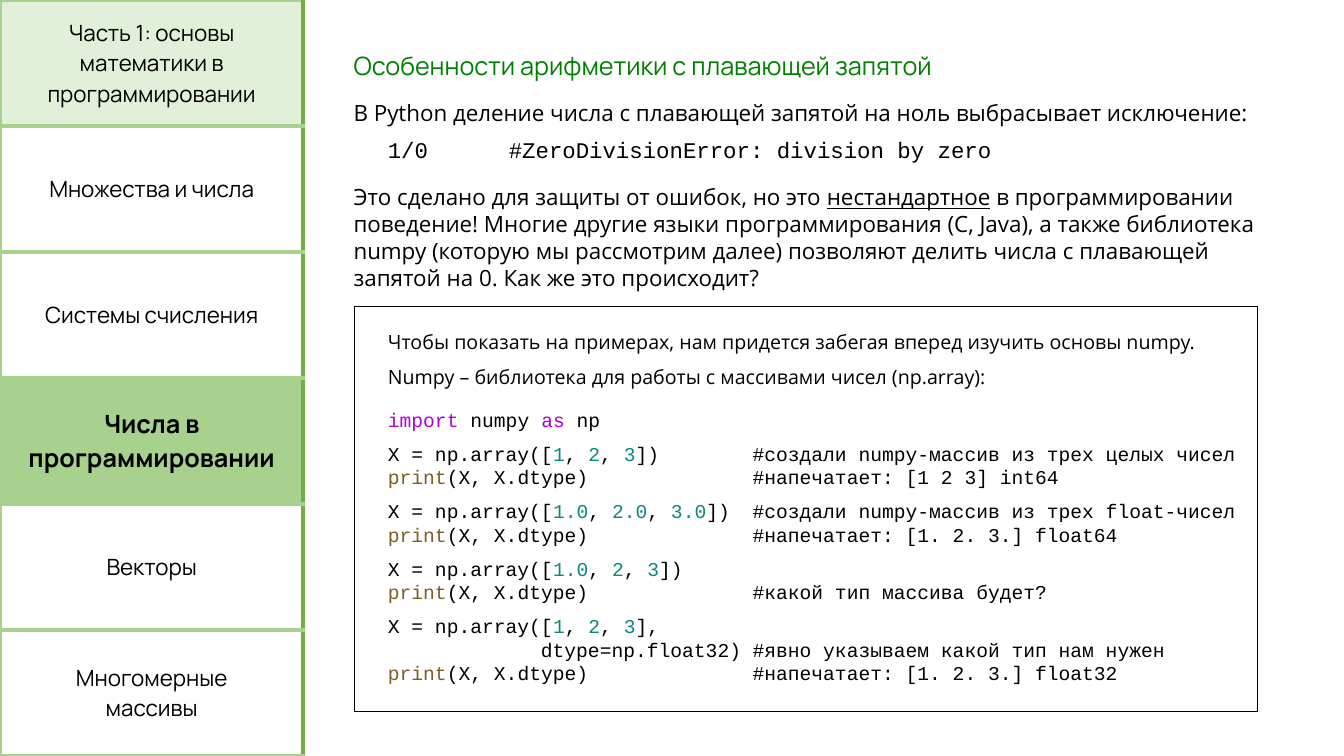
"""Build the slide on floating-point arithmetic, with a chapter list on the left."""
from dataclasses import dataclass
from typing import Any, NamedTuple

from lxml.etree import SubElement
from pptx import Presentation
from pptx.dml.color import RGBColor as Rgb
from pptx.enum.shapes import MSO_SHAPE as Shape
from pptx.enum.text import MSO_ANCHOR as Anchor, MSO_AUTO_SIZE as AutoSize, PP_ALIGN as Align
from pptx.oxml import parse_xml
from pptx.oxml.ns import nsdecls, qn
from pptx.util import Pt


@dataclass(frozen=True)
class Theme:
    black: str = "000000"
    heading: str = "008000"
    keyword: str = "AF00DB"
    number: str = "09887D"
    builtin: str = "795E26"
    opening: str = "E2F0D9"
    current: str = "A9D18E"
    edge: str = "70AD47"
    display: str = "Manrope"
    prose: str = "Open Sans"
    code: str = "Courier New"
    large: int = 18
    medium: int = 16
    small: int = 14


THEME = Theme()


class Span(NamedTuple):
    text: str
    color: str = THEME.black
    underline: bool = False


Line = list[Span]


class Chapter(NamedTuple):
    lines: list[str]
    fill: str | None = None
    size: int = THEME.medium
    bold: bool = False


class Block(NamedTuple):
    left: float
    top: float
    width: float
    height: float
    lines: list[Line]
    font: str
    size: int
    tab: float | None = None


def array_line(numbers: list[str], ending: str) -> Line:
    """Return a line that creates an array, with its numbers coloured."""
    spans = [Span("X = np.array([")]
    for index, number in enumerate(numbers):
        if index:
            spans.append(Span(", "))
        spans.append(Span(number, THEME.number))
    return spans + [Span(ending)]


def print_line(comment: str) -> Line:
    """Return a line that prints the array, with a comment."""
    return [Span("print", THEME.builtin), Span(f"(X, X.dtype)\t{comment}")]


CHAPTERS = [
    Chapter(["Часть 1: основы математики в программировании"], THEME.opening),
    Chapter(["Множества и числа"]),
    Chapter(["Системы счисления"]),
    Chapter(["Числа в программировании"], THEME.current, THEME.large, True),
    Chapter(["Векторы"]),
    Chapter(["Многомерные", "массивы"]),
]

TEXT_LEFT, CODE_LEFT = 245.5, 270
PROSE_WIDTH, CODE_WIDTH = 773, 652
PROSE = [
    Block(TEXT_LEFT, 32.4, 442, 29,
          [[Span("Особенности арифметики с плавающей запятой", THEME.heading)]],
          THEME.display, THEME.large),
    Block(TEXT_LEFT, 67, PROSE_WIDTH, 26.6,
          [[Span("В Python деление числа с плавающей запятой на ноль выбрасывает исключение:")]],
          THEME.prose, THEME.medium),
    Block(CODE_LEFT, 93.6, 551.5, 26.6,
          [[Span("1/0\t#ZeroDivisionError: division by zero")]],
          THEME.code, THEME.medium, 86.4),
    Block(TEXT_LEFT, 127.5, PROSE_WIDTH, 85, [
        [Span("Это сделано для защиты от ошибок, но это "),
         Span("нестандартное", underline=True), Span(" в программировании")],
        [Span("поведение! Многие другие языки программирования (C, Java), а также библиотека")],
        [Span("numpy (которую мы рассмотрим далее) позволяют делить числа с плавающей")],
        [Span("запятой на 0. Как же это происходит?")],
    ], THEME.prose, THEME.medium),
    Block(CODE_LEFT, 231.8, PROSE_WIDTH, 24.2,
          [[Span("Чтобы показать на примерах, нам придется забегая вперед изучить основы numpy.")]],
          THEME.prose, THEME.small),
    Block(CODE_LEFT, 257, PROSE_WIDTH, 24.2,
          [[Span("Numpy – библиотека для работы с массивами чисел (np.array):")]],
          THEME.prose, THEME.small),
]

LISTINGS = [
    [[Span("import", THEME.keyword), Span(" numpy "), Span("as", THEME.keyword), Span(" np")]],
    [array_line(["1", "2", "3"], "])\t#создали numpy-массив из трех целых чисел"),
     print_line("#напечатает: [1 2 3] int64")],
    [array_line(["1.0", "2.0", "3.0"], "])\t#создали numpy-массив из трех float-чисел"),
     print_line("#напечатает: [1. 2. 3.] float64")],
    [array_line(["1.0", "2", "3"], "])"),
     print_line("#какой тип массива будет?")],
    [array_line(["1", "2", "3"], "],"),
     [Span("             dtype=np.float32)\t#явно указываем какой тип нам нужен")],
     print_line("#напечатает: [1. 2. 3.] float32")],
]
LISTING_TOP, CODE_LINE, LISTING_GAP, COMMENT_TAB = 288, 17, 7, 260.5


def add_span(para: Any, span: Span, font: str, size: int, bold: bool = False) -> None:
    """Add one formatted run to a paragraph."""
    run = para.add_run()
    run.text = span.text
    formats = {"name": font, "size": Pt(size), "bold": bold, "underline": span.underline}
    for name, value in formats.items():
        setattr(run.font, name, value)
    run.font.color.rgb = Rgb.from_string(span.color)


def fill_frame(frame: Any, lines: list[Line], font: str, size: int, bold: bool = False,
               align: Any = Align.LEFT, tab: float | None = None) -> None:
    """Write lines into a text frame, one paragraph each."""
    for index, line in enumerate(lines):
        para = frame.add_paragraph() if index else frame.paragraphs[0]
        para.alignment = align
        if tab:
            stops = SubElement(para._p.get_or_add_pPr(), qn("a:tabLst"))
            SubElement(stops, qn("a:tab"), pos=str(int(Pt(tab))), algn="l")
        for span in line:
            add_span(para, span, font, size, bold)


def add_block(page: Any, block: Block) -> None:
    """Place a block of text on the page."""
    box = page.shapes.add_textbox(*map(Pt, block[:4]))
    box.text_frame.word_wrap = True
    box.text_frame.auto_size = AutoSize.SHAPE_TO_FIT_TEXT
    fill_frame(box.text_frame, block.lines, block.font, block.size, tab=block.tab)


def add_chapters(page: Any, chapters: list[Chapter], width: float, height: float) -> None:
    """Draw the chapter list as a one-column table."""
    table = page.shapes.add_table(len(chapters), 1, 0, 0, Pt(width), Pt(height)).table
    table.first_row = table.horz_banding = False
    borders = {"lnL": THEME.current, "lnR": THEME.edge, "lnT": THEME.current, "lnB": THEME.current}
    for row, chapter in enumerate(chapters):
        table.rows[row].height = Pt(height / len(chapters))
        cell = table.cell(row, 0)
        cell.vertical_anchor = Anchor.MIDDLE
        if chapter.fill:
            cell.fill.solid()
            cell.fill.fore_color.rgb = Rgb.from_string(chapter.fill)
        else:
            cell.fill.background()
        for index, (tag, color) in enumerate(borders.items()):
            cell._tc.get_or_add_tcPr().insert(index, parse_xml(
                f'<a:{tag} {nsdecls("a")} w="{int(Pt(3))}"><a:solidFill>'
                f'<a:srgbClr val="{color}"/></a:solidFill></a:{tag}>'))
        fill_frame(cell.text_frame, [[Span(text)] for text in chapter.lines],
                   THEME.display, chapter.size, chapter.bold, Align.CENTER)


def add_frame(page: Any, left: float, top: float, width: float, height: float) -> None:
    """Draw the outline around the examples."""
    frame = page.shapes.add_shape(Shape.RECTANGLE, Pt(left), Pt(top), Pt(width), Pt(height))
    frame.shadow.inherit = False
    frame.fill.background()
    frame.line.color.rgb = Rgb.from_string(THEME.black)
    frame.line.width = Pt(1)


def main() -> None:
    """Build and save the deck."""
    deck = Presentation()
    deck.slide_width, deck.slide_height = Pt(960), Pt(540)
    page = deck.slides.add_slide(deck.slide_layouts[6])
    add_chapters(page, CHAPTERS, 216.7, 540)
    add_frame(page, 253.4, 218.9, 645, 289.4)
    for block in PROSE:
        add_block(page, block)
    top = LISTING_TOP
    for lines in LISTINGS:
        height = CODE_LINE * len(lines) + LISTING_GAP
        add_block(page, Block(CODE_LEFT, top, CODE_WIDTH, height, lines,
                              THEME.code, THEME.small, COMMENT_TAB))
        top += height
    deck.save("out.pptx")


if __name__ == "__main__":
    main()
